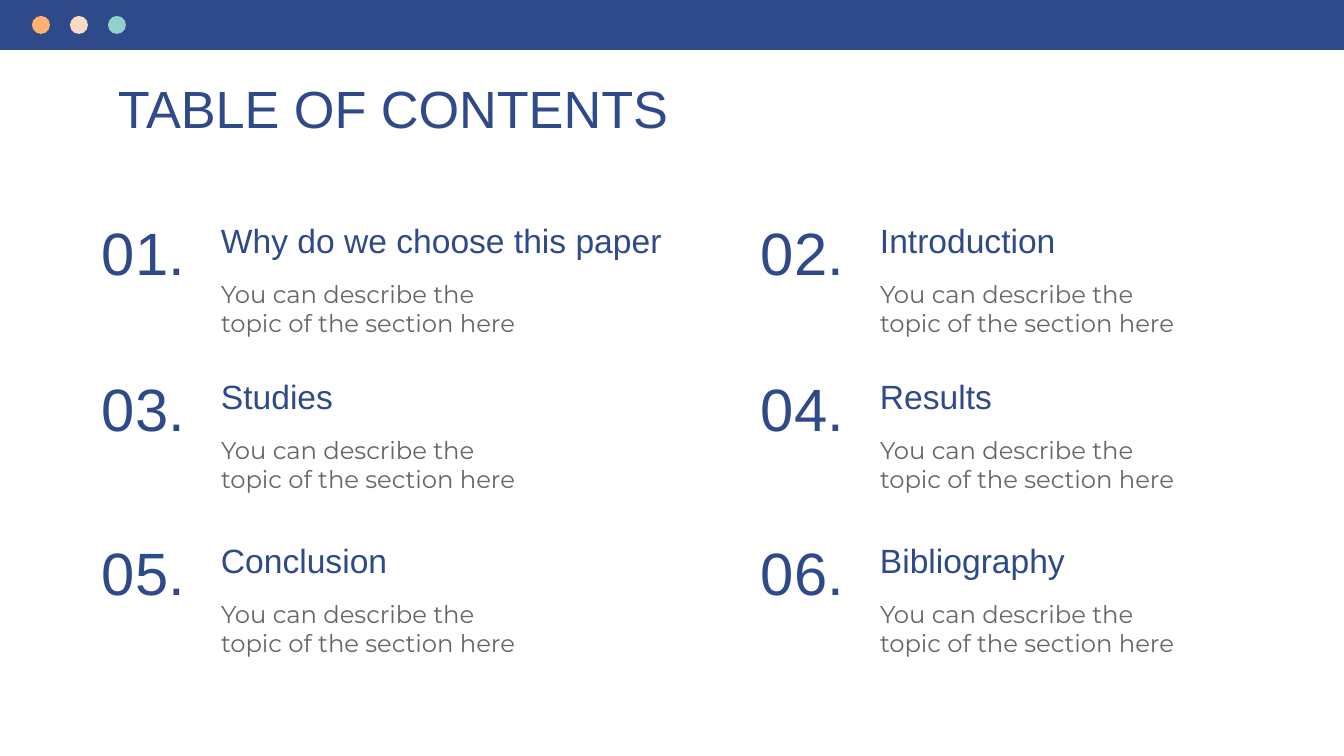
from dataclasses import dataclass

from pptx import Presentation
from pptx.dml.color import RGBColor
from pptx.enum.shapes import MSO_SHAPE as Shape
from pptx.enum.text import MSO_ANCHOR as Anchor, PP_ALIGN as Align
from pptx.util import Pt

TITLE = "TABLE OF CONTENTS"
TOPICS = [
    "Why do we choose this paper", "Introduction",
    "Studies", "Results",
    "Conclusion", "Bibliography",
]
NOTE = "You can describe the topic of the section here"


@dataclass(frozen=True)
class Theme:
    navy: str = "2F4A8A"
    gray: str = "666666"
    dots: tuple = ("FFB172", "F8DBC4", "90D1CB")
    head: str = "Arial"
    body: str = "Montserrat"
    title: int = 28
    number: int = 32
    topic: int = 18
    note: int = 13


THEME = Theme()
PX = 914400 / 134.4
WIDE, HIGH = 1344, 756
COLS = (77, 736)
ROWS = (207, 363, 527)
INSET = 13


def px(*vals):
    return [round(val * PX) for val in vals]


def add_text(slide, text, box, size, font=THEME.head, color=THEME.navy,
             anchor=Anchor.TOP, align=Align.LEFT, after=0):
    frame = slide.shapes.add_textbox(*px(*box)).text_frame
    inset, = px(INSET)
    form = {"word_wrap": True, "vertical_anchor": anchor}
    for side in ("left", "top", "right", "bottom"):
        form["margin_" + side] = inset
    for key, val in form.items():
        setattr(frame, key, val)
    para = frame.paragraphs[0]
    para.alignment, para.space_after = align, Pt(after)
    run = para.add_run()
    run.text = text
    run.font.name, run.font.size = font, Pt(size)
    run.font.color.rgb = RGBColor.from_string(color)


def add_fill(slide, kind, box, color):
    shape = slide.shapes.add_shape(kind, *px(*box))
    shape.shadow.inherit = False
    shape.fill.solid()
    shape.fill.fore_color.rgb = RGBColor.from_string(color)
    shape.line.fill.background()


def add_topic(slide, index, topic):
    row, col = divmod(index, len(COLS))
    left, top = COLS[col], ROWS[row]
    inner = left + 131
    add_text(slide, topic, (inner, top, 481, 69), THEME.topic)
    add_text(slide, f"{index + 1:02}.", (left, top + 8, 133, 86), THEME.number,
             anchor=Anchor.BOTTOM, align=Align.CENTER)
    add_text(slide, NOTE, (inner, top + 59, 335, 86), THEME.note,
             THEME.body, THEME.gray, after=12)


def main():
    deck = Presentation()
    deck.slide_width, deck.slide_height = px(WIDE, HIGH)
    slide = deck.slides.add_slide(deck.slide_layouts[6])
    add_fill(slide, Shape.RECTANGLE, (0, 0, WIDE, 50), THEME.navy)
    for i, color in enumerate(THEME.dots):
        add_fill(slide, Shape.OVAL, (32 + 38 * i, 16, 18, 18), color)
    add_text(slide, TITLE, (105, 63, 1134, 69), THEME.title)
    for i, topic in enumerate(TOPICS):
        add_topic(slide, i, topic)
    deck.save("out.pptx")


if __name__ == "__main__":
    main()
